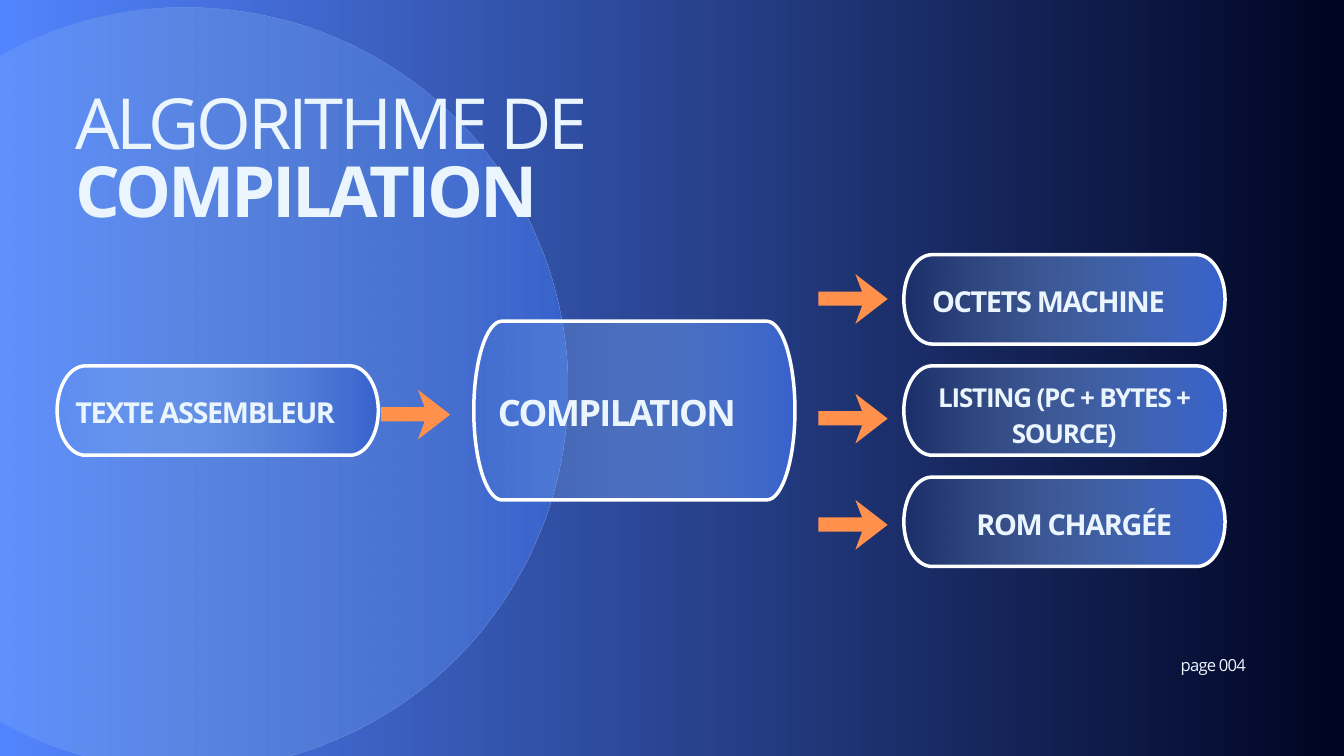
import pptx
import pptx.dml.color
import pptx.enum.shapes
import pptx.enum.text
import pptx.oxml
import pptx.oxml.ns
import pptx.util

# Content: lengths in inches, text sizes in points
FONT, TEXT, WHITE, ORANGE = "Open Sans", "EBF5FE", "FFFFFF", "FF914D"
BACKDROP = ("5284FF", "000422")
GLASS = ("9FCDFF", "3964CD")
LEFT, CENTRE = pptx.enum.text.PP_ALIGN.LEFT, pptx.enum.text.PP_ALIGN.CENTER

BOX_W, BOX_H, CAP = 4.78, 1.33, 0.42
MIDDLE, ROW_PITCH = 6.11, 1.655
COLUMNS = {"source": 0.85, "compiler": 7.05, "output": 13.45}
# column, row counted from the middle, height in box heights
BOXES = [
    ("compiler", 0, 2), ("source", 0, 1),
    ("output", -1, 1), ("output", 0, 1), ("output", 1, 1),
]
# text, left, top, width, height, size, line pitch, alignment, bold
TITLE = ("ALGORITHME DE", 1.12, 0.97, 8.44, 1.41, 75.5, 105.7, LEFT, False)
LABELS = [
    ("COMPILATION", 1.12, 1.98, 7.88, 1.41, 75.5, 105.7, LEFT, True),
    ("COMPILATION", 7.41, 5.7, 4.06, 0.73, 38.9, 54.4, LEFT, True),
    ("TEXTE ASSEMBLEUR", 1.12, 5.79, 4.71, 0.57, 30.9, 43.2, LEFT, True),
    ("OCTETS MACHINE", 13.87, 4.14, 3.93, 0.57, 30.9, 43.2, LEFT, True),
    ("LISTING (PC + BYTES + SOURCE)",
     13.87, 5.6, 3.93, 1.07, 27.9, 39, CENTRE, True),
    ("ROM CHARGÉE", 14.02, 7.45, 3.93, 0.57, 30.9, 43.2, CENTRE, True),
    ("page 004", 17.57, 9.69, 1.3, 0.33, 17.8, 24.9, LEFT, False),
]
ARROWS = [(5.67, 5.8), (12.18, 4.08), (12.18, 5.86), (12.18, 7.44)]
ARROW = [(0, 0.26), (0.65, 0.26), (0.55, 0), (1.03, 0.37),
         (0.55, 0.74), (0.65, 0.47), (0, 0.47)]

inch = pptx.util.Inches
qn, nsdecls = pptx.oxml.ns.qn, pptx.oxml.ns.nsdecls


def rgb(value):
    return pptx.dml.color.RGBColor.from_string(value)


def gradient(fill, colours, fade=False):
    """Left-to-right gradient, optionally clear at its start."""
    fill.gradient()
    fill.gradient_angle = 0
    for stop, colour, position in zip(fill.gradient_stops, colours, (0, 1)):
        stop.color.rgb = rgb(colour)
        stop.position = position
    if fade:
        first = fill.gradient_stops[0]._gs.find(qn("a:srgbClr"))
        first.append(pptx.oxml.parse_xml(
            f'<a:alpha {nsdecls("a")} val="0"/>'))


def outline(slide, points):
    pts = [(inch(x), inch(y)) for x, y in points]
    builder = slide.shapes.build_freeform(*pts[0], scale=1.0)
    builder.add_line_segments(pts[1:], close=True)
    sp = builder.convert_to_shape()
    sp.shadow.inherit = False
    return sp


def round_ends(sp):
    """Turn the four slanted sides of a hexagon into quarter ellipses."""
    lines = list(sp._element.iter(qn("a:lnTo")))
    pts = [(int(pt.get("x")), int(pt.get("y")))
           for pt in sp._element.iter(qn("a:pt"))]
    for i in (0, 1, 3, 4):
        start, end = pts[i], pts[i + 1]
        tip, flat = (end, start) if i in (0, 3) else (start, end)
        corner = (tip[0], flat[1])
        handles = [[round(a + 0.55 * (c - a)) for a, c in zip(p, corner)]
                   for p in (start, end)]
        marks = "".join(f'<a:pt x="{x}" y="{y}"/>' for x, y in handles + [end])
        curve = pptx.oxml.parse_xml(
            f'<a:cubicBezTo {nsdecls("a")}>{marks}</a:cubicBezTo>')
        lines[i].getparent().replace(lines[i], curve)


def add_box(slide, column, row, scale):
    x, y, ry = COLUMNS[column], MIDDLE + row * ROW_PITCH, BOX_H * scale / 2
    right = x + BOX_W
    sp = outline(slide, [
        (right - CAP, y - ry), (right, y), (right - CAP, y + ry),
        (x + CAP, y + ry), (x, y), (x + CAP, y - ry)])
    round_ends(sp)
    gradient(sp.fill, GLASS, fade=True)
    sp.line.color.rgb = rgb(WHITE)
    sp.line.width = pptx.util.Pt(3.75)


def write(sp, text, x, y, w, h, size, pitch, align, bold):
    sp.left, sp.top, sp.width, sp.height = map(inch, (x, y, w, h))
    tf = sp.text_frame
    tf.margin_left = tf.margin_right = tf.margin_top = tf.margin_bottom = 0
    tf.word_wrap = True
    tf.auto_size = pptx.enum.text.MSO_AUTO_SIZE.NONE
    tf.vertical_anchor = pptx.enum.text.MSO_ANCHOR.TOP
    p = tf.paragraphs[0]
    p.alignment = align
    p.line_spacing = pptx.util.Pt(pitch)
    p.space_before = pptx.util.Pt(0)
    p.font.name, p.font.size, p.font.bold = FONT, pptx.util.Pt(size), bold
    p.font.color.rgb = rgb(TEXT)
    r = p.add_run()
    r.text = text
    r._r.get_or_add_rPr().set("spc", str(round(-4.6 * size)))


def main():
    prs = pptx.Presentation()
    prs.slide_width, prs.slide_height = inch(20), inch(11.25)
    slide = prs.slides.add_slide(prs.slide_layouts[5])
    gradient(slide.background.fill, BACKDROP)

    # Large disc
    disc = slide.shapes.add_shape(
        pptx.enum.shapes.MSO_SHAPE.OVAL,
        inch(-2.9), inch(0.11), inch(11.34), inch(11.34))
    disc.shadow.inherit = False
    gradient(disc.fill, GLASS, fade=True)
    disc.line.fill.background()

    # Steps and arrows
    for box in BOXES:
        add_box(slide, *box)
    for x, y in ARROWS:
        sp = outline(slide, [(x + dx, y + dy) for dx, dy in ARROW])
        sp.fill.solid()
        sp.fill.fore_color.rgb = rgb(ORANGE)
        sp.line.fill.background()

    # Title, in front of the disc
    title = slide.shapes.title
    write(title, *TITLE)
    slide.shapes._spTree.append(title._element)

    # Second title line, labels and page number
    for label in LABELS:
        write(slide.shapes.add_textbox(0, 0, 0, 0), *label)

    prs.save("out.pptx")


if __name__ == "__main__":
    main()
